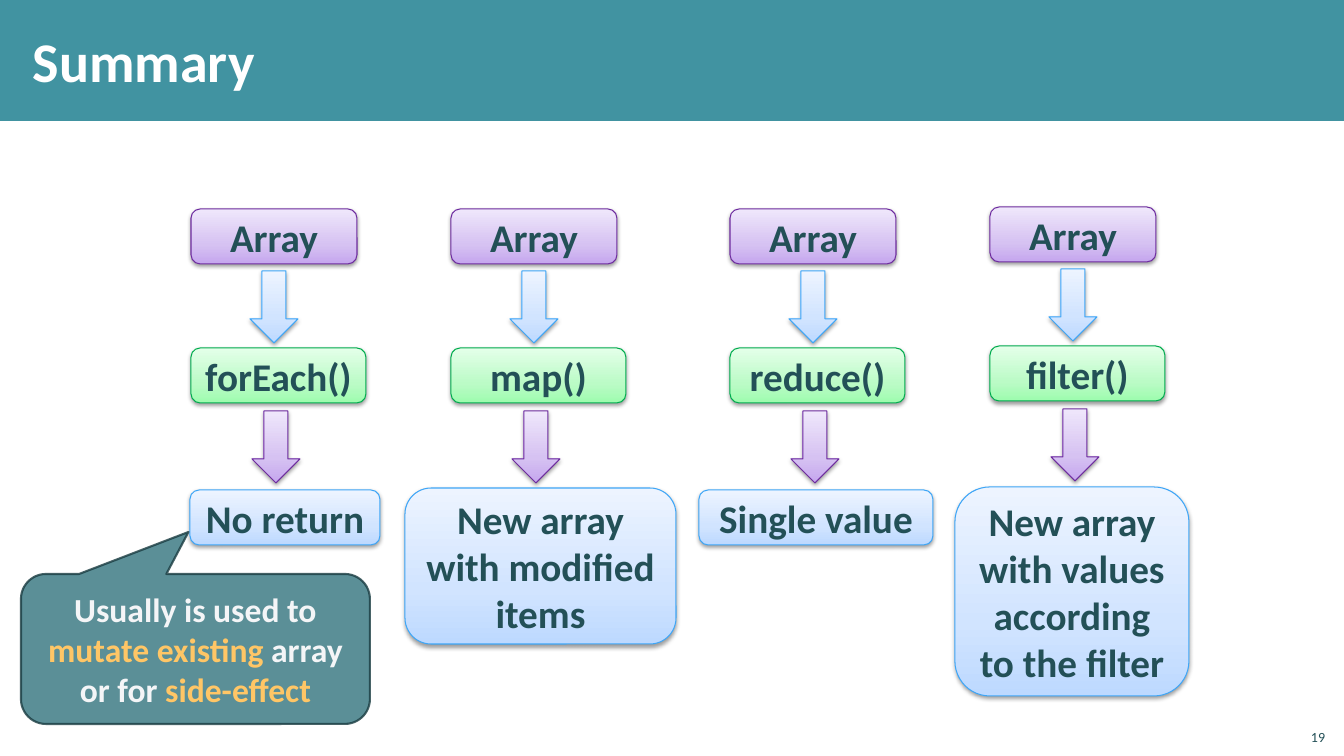
from lxml import etree
from pptx import Presentation, util as u
from pptx.dml.color import RGBColor
from pptx.enum import shapes, text
from pptx.oxml.ns import qn

PX = 914400 / 100.8
FONT = "Calibri"
COLORS = {
    "band": "4193A1", "white": "FFFFFF", "ink": "235057",
    "callout": "32737E", "callout_line": "1A3C41",
    "pale": "F4F5F7", "accent": "FFC666",
}
# Line colour, then gradient stops from bottom to top
THEMES = {
    "purple": ("6E2C9F", ("C5A6EE", "D6C2F2", "EFE7FB")),
    "blue": ("3EA6F7", ("BDD9FF", "D1E4FF", "EDF4FF")),
    "green": ("00AC4E", ("9DFCAE", "BBFBC6", "E4FFE9")),
}
STOPS = (0, 35000, 100000)
MSO = shapes.MSO_SHAPE
ALIGN = text.PP_ALIGN
ANCHOR = text.MSO_ANCHOR


def rgb(value):
    return RGBColor.from_string(value)


def add(parent, tag, **attrs):
    return etree.SubElement(parent, qn(tag), {k: str(v) for k, v in attrs.items()})


class Builder:
    def __init__(self, prs):
        self.s = prs.slides.add_slide(prs.slide_layouts[6])

    def box(self, *px):
        return [u.Emu(round(v * PX)) for v in px]

    def add_runs(self, sp, runs, size, bold=True, align=ALIGN.CENTER, anchor=ANCHOR.MIDDLE):
        tf = sp.text_frame
        tf.word_wrap = True
        tf.vertical_anchor = anchor
        p = tf.paragraphs[0]
        p.alignment = align
        for words, color in runs:
            r = p.add_run()
            r.text = words
            r.font.name, r.font.size, r.font.bold = FONT, u.Pt(size), bold
            r.font.color.rgb = rgb(COLORS[color])

    def label(self, px, words, color, size, **style):
        sp = self.s.shapes.add_textbox(*self.box(*px))
        self.add_runs(sp, [(words, color)], size, **style)

    def shape(self, kind, px, fill):
        sp = self.s.shapes.add_shape(kind, *self.box(*px))
        sp.shadow.inherit = False
        sp.fill.solid()
        sp.fill.fore_color.rgb = rgb(COLORS[fill])
        sp.line.fill.background()
        return sp

    def glossy(self, kind, px, theme, words=None):
        """Shape with a three-stop gradient and a soft shadow below."""
        line, stops = THEMES[theme]
        sp = self.s.shapes.add_shape(kind, *self.box(*px))
        sp.fill.gradient()
        sp.fill.gradient_angle = 90
        sp.line.color.rgb = rgb(line)
        sp.line.width = u.Pt(0.75)
        sp.shadow.inherit = False
        sp_pr = sp._element.spPr
        gs_list = sp_pr.find(qn("a:gradFill")).find(qn("a:gsLst"))
        for gs in list(gs_list):
            gs_list.remove(gs)
        for pos, color in zip(STOPS, stops):
            add(add(gs_list, "a:gs", pos=pos), "a:srgbClr", val=color)
        shadow = add(sp_pr.find(qn("a:effectLst")), "a:outerShdw", blurRad=u.Pt(3.1),
                     dist=u.Pt(1.6), dir=5400000, rotWithShape=0)
        add(add(shadow, "a:srgbClr", val="000000"), "a:alpha", val=38000)
        if words:
            self.add_runs(sp, [(words, "ink")], 28)

    def callout(self, px, tip, runs):
        sp = self.shape(MSO.ROUNDED_RECTANGULAR_CALLOUT, px, "callout")
        sp.adjustments[0], sp.adjustments[1] = tip
        sp.line.color.rgb = rgb(COLORS["callout_line"])
        sp.line.width = u.Pt(1.5)
        for color in sp._element.spPr.iter(qn("a:srgbClr")):
            add(color, "a:alpha", val=80000)
        self.add_runs(sp, runs, 24)

    def flow(self, x, y, method, result, result_px):
        """Column: array, arrow, method, arrow, result."""
        rounded, arrow = MSO.ROUNDED_RECTANGLE, MSO.DOWN_ARROW
        self.glossy(rounded, (x, y, 166, 55), "purple", "Array")
        self.glossy(arrow, (x + 59, y + 62, 48, 72), "blue")
        self.glossy(rounded, (x, y + 139, 175, 55), "green", method)
        self.glossy(arrow, (x + 61, y + 202, 48, 72), "purple")
        self.glossy(rounded, result_px, "blue", result)


def main():
    prs = Presentation()
    prs.slide_width, prs.slide_height = u.Emu(round(1344 * PX)), u.Emu(round(756 * PX))
    b = Builder(prs)

    # Title band and slide number
    b.shape(MSO.RECTANGLE, (0, 0, 1344, 121), "band")
    b.label((1295, 718, 40, 32), "19", "ink", 10, bold=False,
            align=ALIGN.RIGHT, anchor=ANCHOR.BOTTOM)
    b.label((23, 11, 1080, 98), "Summary", "white", 40, align=ALIGN.LEFT)

    # One column for each array method
    columns = [
        (191, 209, "forEach()", "No return", (190, 490, 190, 55)),
        (451, 209, "map()", "New array with modified items", (405, 488, 271, 156)),
        (730, 209, "reduce()", "Single value", (699, 490, 234, 55)),
        (990, 207, "filter()", "New array with values according to the filter",
         (955, 487, 234, 209)),
    ]
    for column in columns:
        b.flow(*column)

    # Remark on forEach()
    b.callout((21, 574, 349, 150), (-0.02, -0.78), [
        ("Usually is used to ", "pale"), ("mutate existing", "accent"),
        (" array or for ", "pale"), ("side-effect", "accent"),
    ])
    prs.save("out.pptx")


if __name__ == "__main__":
    main()
